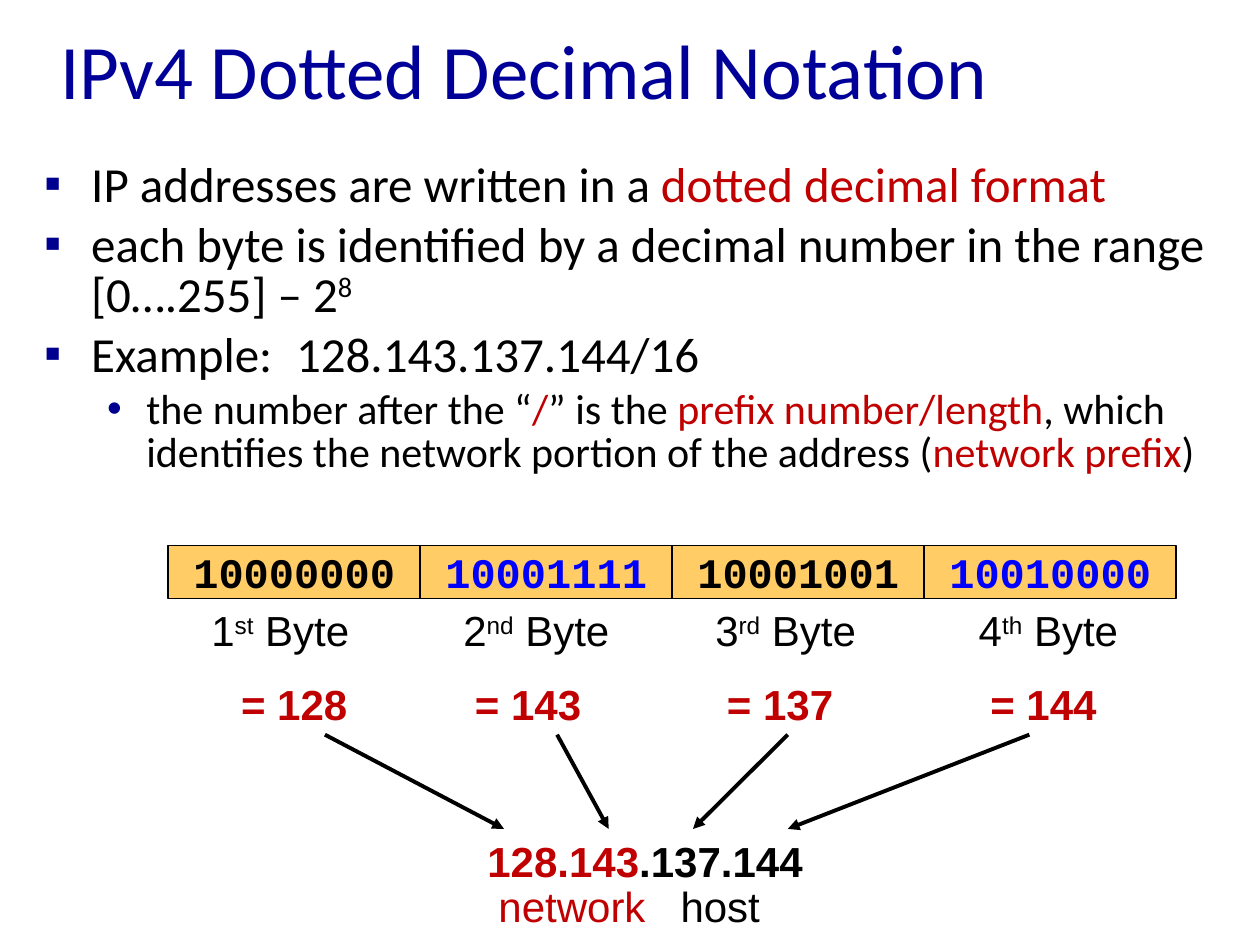
"""Build a slide on IPv4 dotted decimal notation."""
from lxml import etree
from pptx import Presentation
from pptx.dml.color import RGBColor
from pptx.enum.shapes import MSO_CONNECTOR, MSO_SHAPE
from pptx.enum.text import MSO_ANCHOR, PP_ALIGN
from pptx.oxml.ns import qn
from pptx.util import Cm, Pt

RECT = MSO_SHAPE.RECTANGLE
LINE = MSO_CONNECTOR.STRAIGHT
MIDDLE, TOP = MSO_ANCHOR.MIDDLE, MSO_ANCHOR.TOP
LEFT, CENTER = PP_ALIGN.LEFT, PP_ALIGN.CENTER

NAVY = RGBColor(0x00, 0x00, 0x99)
BLACK = RGBColor(0x00, 0x00, 0x00)
RED = RGBColor(0xC0, 0x00, 0x00)
BLUE = RGBColor(0x00, 0x00, 0xFF)
AMBER = RGBColor(0xFF, 0xCC, 0x66)
MARK = "000090"

HEAD = {"name": "Calibri", "size": Pt(44)}
MAIN = {"name": "Calibri", "size": Pt(28)}
SUB = {"name": "Calibri", "size": Pt(24)}
CODE = {"name": "Courier New", "size": Pt(24), "bold": True}
NOTE = {"name": "Arial", "size": Pt(24)}
BOLD = {**NOTE, "bold": True}

STEP = 5.08
BYTES = [
    ("10000000", BLACK, "1", "st", "= 128", 4.01, CENTER),
    ("10001111", BLUE, "2", "nd", "= 143", 9.09, LEFT),
    ("10001001", BLACK, "3", "rd", "= 137", 14.17, LEFT),
    ("10010000", BLUE, "4", "th", "= 144", 19.48, LEFT),
]
ARROWS = [(6.55, 10.16), (11.23, 12.27), (15.88, 13.97), (20.75, 15.88)]
POINTS = [
    (0, [("IP addresses are written in a ", BLACK),
         ("dotted decimal format", RED)]),
    (0, [("each byte is identified by a decimal number in the range "
          "[0….255] – 2", BLACK), ("8", BLACK, True)]),
    (0, [("Example:\t128.143.137.144/16", BLACK)]),
    (1, [("the number after the “", BLACK), ("/", RED), ("” is the ", BLACK),
         ("prefix number/length", RED),
         (", which identifies the network portion of the address (", BLACK),
         ("network prefix", RED), (")", BLACK)]),
]
LEVELS = [(MAIN, "▪", 0.95, 0.95), (SUB, "•", 2.06, 0.79)]


def add_runs(para, runs, style):
    """Add (text, colour, raised) runs in one style."""
    for text, color, *raised in runs:
        run = para.add_run()
        run.text = text
        for key, value in style.items():
            setattr(run.font, key, value)
        run.font.color.rgb = color
        if raised:
            run.font._element.set("baseline", "30000")


def add_box(slide, place, anchor=TOP):
    """Add a wrapping text box and return its frame."""
    frame = slide.shapes.add_textbox(*map(Cm, place)).text_frame
    frame.word_wrap = True
    frame.vertical_anchor = anchor
    return frame


def add_tabs(para, stops):
    """Add left tab stops, given in centimetres."""
    tabs = etree.SubElement(para._p.get_or_add_pPr(), qn("a:tabLst"))
    for stop in stops:
        etree.SubElement(tabs, qn("a:tab"), pos=str(Cm(stop)), algn="l")


def add_mark(para, char, left, hang):
    """Give a paragraph a coloured bullet and a hanging indent."""
    props = para._p.get_or_add_pPr()
    props.set("marL", str(Cm(left)))
    props.set("indent", str(-Cm(hang)))
    tint = etree.SubElement(props, qn("a:buClr"))
    etree.SubElement(tint, qn("a:srgbClr"), val=MARK)
    etree.SubElement(props, qn("a:buFont"), typeface="Arial")
    etree.SubElement(props, qn("a:buChar"), char=char)


def add_points(slide):
    """Add the bulleted body text."""
    frame = add_box(slide, (0.64, 3.15, 24.1, 7.14))
    for index, (level, runs) in enumerate(POINTS):
        para = frame.add_paragraph() if index else frame.paragraphs[0]
        style, char, left, hang = LEVELS[level]
        para.level = level
        para.line_spacing = 0.85
        if index:
            para.space_before = Pt(style["size"].pt * 0.2)
        add_mark(para, char, left, hang)
        add_tabs(para, (5.08, 9.86, 15.72))
        add_runs(para, runs, style)


def add_cell(slide, left, bits, color):
    """Add one box of eight bits."""
    cell = slide.shapes.add_shape(RECT, *map(Cm, (left, 11, STEP, 1.07)))
    cell.shadow.inherit = False
    cell.fill.solid()
    cell.fill.fore_color.rgb = AMBER
    cell.line.color.rgb = BLACK
    cell.line.width = Pt(0.75)
    frame = cell.text_frame
    frame.word_wrap = False
    frame.vertical_anchor = MIDDLE
    frame.paragraphs[0].alignment = CENTER
    add_runs(frame.paragraphs[0], [(bits, color)], CODE)


def add_label(slide, left, digit, suffix, value, align):
    """Add the ordinal of a byte and its decimal value."""
    frame = add_box(slide, (left, 12.07, 3.61, 2.82))
    runs = [(digit, BLACK), (suffix, BLACK, True), (" Byte", BLACK)]
    add_runs(frame.paragraphs[0], runs, NOTE)
    para = frame.add_paragraph()
    para.alignment = align
    para.space_before = Pt(13.5)
    add_runs(para, [(" " + value, RED)], BOLD)


def add_arrow(slide, start, end):
    """Add an arrow from a byte value down to the address."""
    ends = map(Cm, (start, 14.81, end, 16.71))
    arrow = slide.shapes.add_connector(LINE, *ends)
    arrow.line.color.rgb = BLACK
    arrow.line.width = Pt(2.25)
    etree.SubElement(arrow.line._get_or_add_ln(), qn("a:tailEnd"),
                     type="triangle")
    etree.SubElement(arrow._element.spPr, qn("a:effectLst"))


def main():
    """Build and save the slide."""
    deck = Presentation()
    deck.slide_width, deck.slide_height = Cm(25.4), Cm(19.05)
    slide = deck.slides.add_slide(deck.slide_layouts[6])

    title = add_box(slide, (0.97, 0.43, 21.59, 1.9), MIDDLE)
    add_runs(title.paragraphs[0], [("IPv4 Dotted Decimal Notation", NAVY)],
             HEAD)
    add_points(slide)

    for index, (bits, color, digit, suffix, value, left, align) in enumerate(
            BYTES):
        add_cell(slide, 3.39 + STEP * index, bits, color)
        add_label(slide, left, digit, suffix, value, align)
    for start, end in ARROWS:
        add_arrow(slide, start, end)

    whole = add_box(slide, (8.46, 16.71, 9.09, 1.27)).paragraphs[0]
    whole.alignment = CENTER
    add_runs(whole, [("128.143", RED), (".137.144", BLACK)], BOLD)
    parts = add_box(slide, (9.8, 17.63, 5.84, 1.27)).paragraphs[0]
    add_tabs(parts, [3.67])
    add_runs(parts, [("network", RED), ("\thost", BLACK)], NOTE)
    deck.save("out.pptx")


if __name__ == "__main__":
    main()
